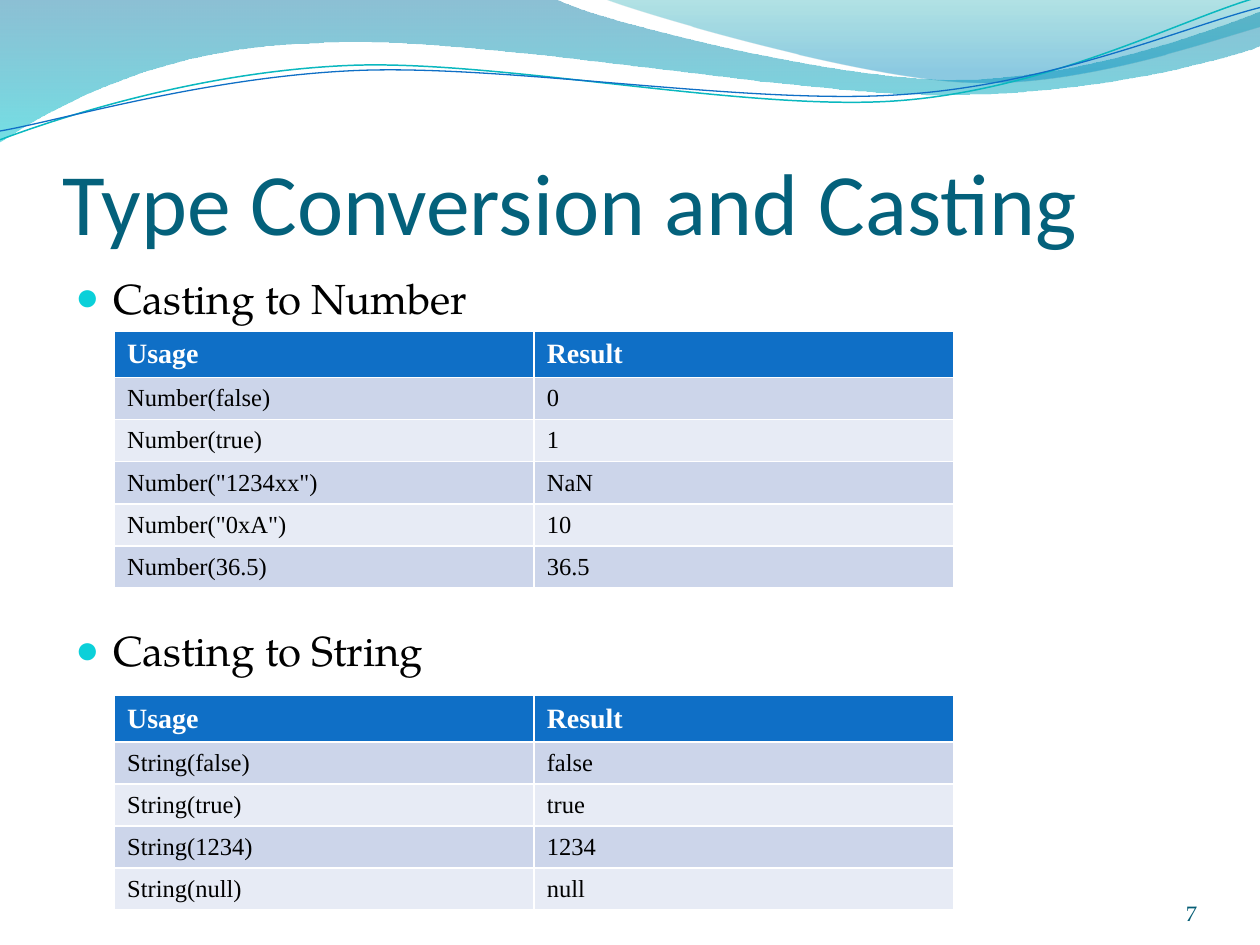
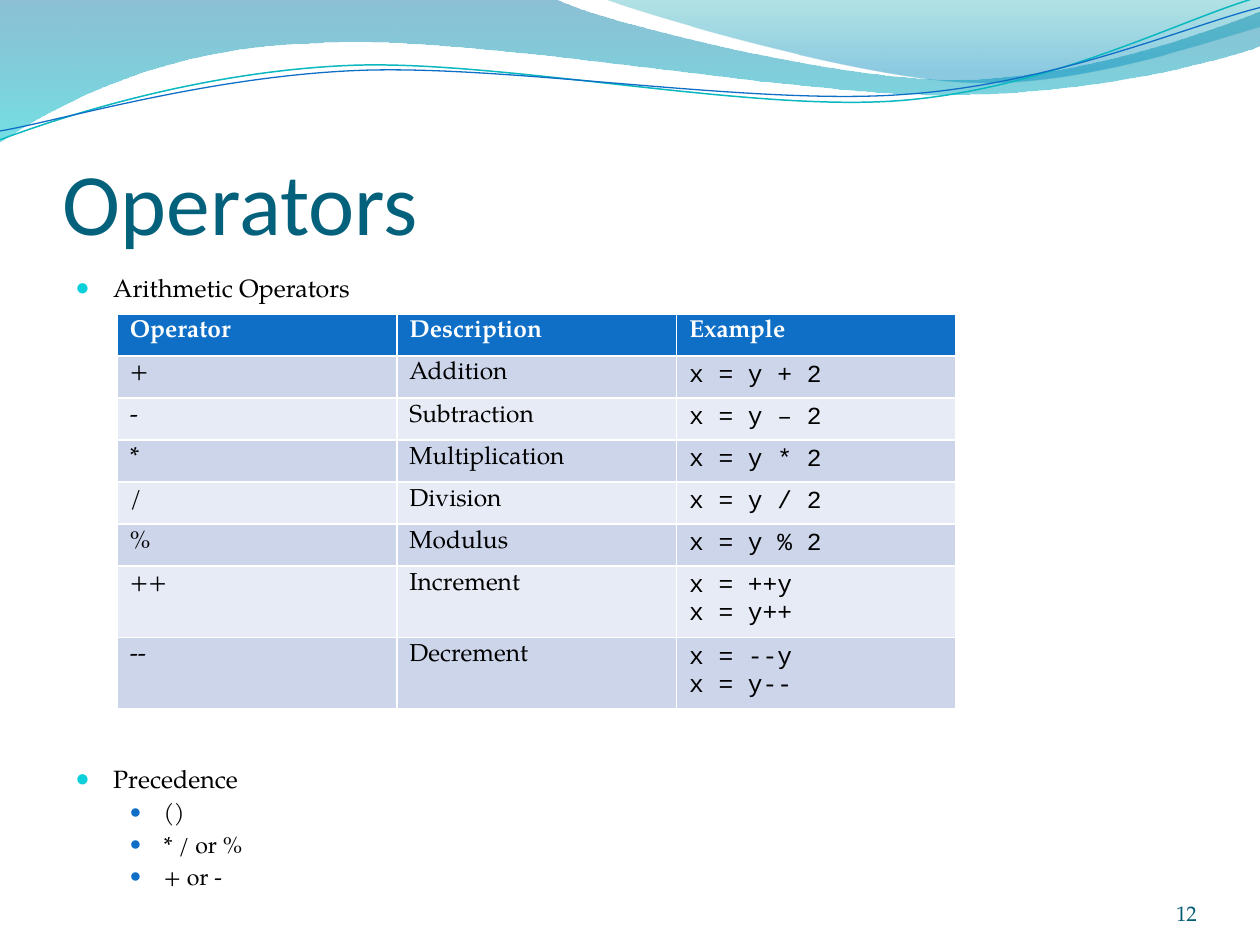
from lxml.etree import SubElement
from pptx import Presentation
from pptx.dml.color import RGBColor
from pptx.enum.text import MSO_ANCHOR as Anchor, PP_ALIGN as Align
from pptx.oxml.ns import qn
from pptx.util import Inches, Pt

# Shared measures: lengths are shares of the slide's width and height
W, H = 10, 7.5
MARGIN = 0.05 * W
TABLE_WIDTH = 6.66
LINE_PITCH = 1.4

# Shared colours and fonts
BLUE, TEAL, WHITE, BLACK = "0F6FC6", "0BD0D9", "FFFFFF", "000000"
TITLE_COLOR, NUMBER_COLOR = "04617B", "045D75"
STRIPES = ["E7EBF5", "CCD5EA"]
HEADING, BODY, SERIF, CODE = "Calibri", "TeX Gyre Pagella", "Times New Roman", "Courier New"

# Waves across the top: six numbers are a curve, two are a straight line
BANDS = [
    {"start": (0, 0),
     "steps": [(4.4, -0.01), (4.76, 0.17, 6.64, 0.63, 7.58, 0.63),
               (8.53, 0.63, 9.58, 0.26, 10, 0.09), (10.01, 0.36),
               (9.83, 0.44, 8.7, 0.76, 7.46, 0.75), (6.22, 0.75, 3.82, 0.28, 2.57, 0.34),
               (1.29, 0.36, 0.46, 0.83, -0.01, 1.13)],
     "stops": [(0, "0074A1", 45), (1, "00C6CF", 55)]},
    {"start": (4.79, -0.01),
     "steps": [(5.09, 0.11, 6.82, 0.62, 7.69, 0.65), (8.56, 0.69, 9.61, 0.32, 10, 0.21), (10, 0)],
     "stops": [(0, "00A1A9", 30), (0.8, "008BBF", 45)]},
    {"start": (0, 1.11),
     "steps": [(0.48, 0.93, 1.58, 0.57, 2.77, 0.52), (3.95, 0.47, 5.93, 0.89, 7.13, 0.8),
               (8.33, 0.71, 9.38, 0.15, 9.98, -0.02)],
     "line": ("0AB8BF", 0.85)},
    {"start": (0, 1.04),
     "steps": [(0.47, 0.96, 1.64, 0.61, 2.83, 0.56), (4.03, 0.51, 5.97, 0.84, 7.17, 0.75),
               (8.36, 0.67, 9.41, 0.21, 10, 0.06)],
     "line": (BLUE, 0.75)},
]

# Bullets are (level, text, lines left free above for a table)
PAGES = [
    {"title": "Type Conversion and Casting", "number": "7", "sizes": [24],
     "bullets": [(0, "Casting to Number", 0), (0, "Casting to String", 5)],
     "tables": [
         {"left": 0.91, "top": 2.63, "heights": [0.32] + [0.3] * 5, "header_size": 16,
          "fonts": [SERIF, SERIF], "anchor": Anchor.MIDDLE,
          "rows": [("Usage", "Result"), ("Number(false)", "0"), ("Number(true)", "1"),
                   ('Number("1234xx")', "NaN"), ('Number("0xA")', "10"),
                   ("Number(36.5)", "36.5")]},
         {"left": 0.91, "top": 5.52, "heights": [0.31] + [0.28] * 4, "header_size": 16,
          "fonts": [SERIF, SERIF], "anchor": Anchor.MIDDLE,
          "rows": [("Usage", "Result"), ("String(false)", "false"), ("String(true)", "true"),
                   ("String(1234)", "1234"), ("String(null)", "null")]}]},
    {"title": "Operators", "number": "12", "sizes": [14.3, 13.2],
     "bullets": [(0, "Arithmetic Operators", 0), (0, "Precedence", 13),
                 (1, "()", 0), (1, "* / or %", 0), (1, "+ or -", 0)],
     "tables": [
         {"left": 0.93, "top": 2.49, "heights": [0.28] * 6 + [0.48] * 2, "header_size": 14,
          "fonts": [BODY, BODY, CODE], "anchor": Anchor.TOP,
          "rows": [("Operator", "Description", "Example"), ("+", "Addition", "x = y + 2"),
                   ("-", "Subtraction", "x = y – 2"), ("*", "Multiplication", "x = y * 2"),
                   ("/", "Division", "x = y / 2"), ("%", "Modulus", "x = y % 2"),
                   ("++", "Increment", "x = ++y\nx = y++"),
                   ("--", "Decrement", "x = --y\nx = y--")]}]},
]


def color(value):
    return RGBColor.from_string(value)


def write(para, text, size, font, ink, bold=False):
    span = para.add_run()
    span.text = text
    span.font.size = Pt(size)
    span.font.name = font
    span.font.bold = bold
    span.font.color.rgb = color(ink)


deck = Presentation()
deck.slide_width, deck.slide_height = Inches(W), Inches(H)

for content in PAGES:
    page = deck.slides.add_slide(deck.slide_layouts[6])

    # Waves: lay out every control point, then join each three into a curve
    for band in BANDS:
        points = [step[i:i + 2] for step in band["steps"] for i in range(0, len(step), 2)]
        builder = page.shapes.build_freeform(*[Inches(v) for v in band["start"]])
        builder.add_line_segments([(Inches(x), Inches(y)) for x, y in points],
                                  close="stops" in band)
        wave = builder.convert_to_shape()
        wave.shadow.inherit = False
        corners = iter(list(wave.element.iter(qn("a:lnTo"))))
        for step in band["steps"]:
            first = next(corners)
            if len(step) == 6:
                curve = SubElement(first.getparent(), qn("a:cubicBezTo"))
                first.addprevious(curve)
                for corner in (first, next(corners), next(corners)):
                    curve.append(corner[0])
                    corner.getparent().remove(corner)
        if "stops" in band:
            wave.line.fill.background()
            wave.fill.gradient()
            wave.fill.gradient_angle = 270
            for stop, (position, tint, _) in zip(wave.fill.gradient_stops, band["stops"]):
                stop.position = position
                stop.color.rgb = color(tint)
            for tag, (_, _, opacity) in zip(wave.element.iter(qn("a:srgbClr")), band["stops"]):
                SubElement(tag, qn("a:alpha"), val=str(opacity * 1000))
        else:
            wave.fill.background()
            wave.line.color.rgb = color(band["line"][0])
            wave.line.width = Pt(band["line"][1])

    # Title and page number
    for text, left, top, width, height, inset, size, font, ink, align in [
            (content["title"], MARGIN, 0.76, 0.9 * W, 1.25, 0.05, 50, HEADING, TITLE_COLOR, Align.LEFT),
            (content["number"], 8.67, 6.95, 0.83, 0.4, 0, 12, BODY, NUMBER_COLOR, Align.RIGHT)]:
        box = page.shapes.add_textbox(Inches(left), Inches(top), Inches(width), Inches(height))
        frame = box.text_frame
        frame.word_wrap = True
        frame.vertical_anchor = Anchor.BOTTOM
        frame.margin_left = frame.margin_right = frame.margin_bottom = 0
        frame.margin_top = Inches(inset)
        frame.paragraphs[0].alignment = align
        write(frame.paragraphs[0], text, size, font, ink)

    # Bullets, on a fixed line pitch
    top = 2.17 - 0.23 * content["sizes"][0] / 72
    box = page.shapes.add_textbox(Inches(MARGIN), Inches(top), Inches(0.9 * W), Inches(0.64 * H))
    frame = box.text_frame
    frame.word_wrap = True
    frame.margin_top = 0
    for index, (level, text, skipped) in enumerate(content["bullets"]):
        para = frame.paragraphs[0] if index == 0 else frame.add_paragraph()
        size = content["sizes"][level]
        para.level = level
        para.line_spacing = Pt(LINE_PITCH * size)
        para.space_before = Pt(LINE_PITCH * size * skipped)
        write(para, text, size, BODY, BLACK)
        indent, hang, tint, share = [(0.3, -0.3, TEAL, 95), (0.7, -0.27, BLUE, 85)][level]
        props = para._p.get_or_add_pPr()
        props.set("marL", str(Inches(indent)))
        props.set("indent", str(Inches(hang)))
        SubElement(SubElement(props, qn("a:buClr")), qn("a:srgbClr"), val=tint)
        SubElement(props, qn("a:buSzPct"), val=str(share * 1000))
        SubElement(props, qn("a:buFont"), typeface=SERIF)
        SubElement(props, qn("a:buChar"), char="●")

    # Tables: the default style rules the cells in white
    for grid in content["tables"]:
        rows, heights, fonts = grid["rows"], grid["heights"], grid["fonts"]
        table = page.shapes.add_table(
            len(rows), len(fonts), Inches(grid["left"]), Inches(grid["top"]),
            Inches(TABLE_WIDTH), Inches(sum(heights))).table
        for column in table.columns:
            column.width = Inches(TABLE_WIDTH / len(fonts))
        for r, row in enumerate(rows):
            table.rows[r].height = Inches(heights[r])
            for c, text in enumerate(row):
                cell = table.cell(r, c)
                cell.vertical_anchor = grid["anchor"]
                cell.fill.solid()
                cell.fill.fore_color.rgb = color(STRIPES[r % 2] if r else BLUE)
                for index, line in enumerate(text.split("\n")):
                    para = cell.text_frame.paragraphs[0] if index == 0 else cell.text_frame.add_paragraph()
                    if r == 0:
                        write(para, line, grid["header_size"], fonts[0], WHITE, True)
                    else:
                        write(para, line, 14, fonts[c], BLACK)

deck.save("out.pptx")
